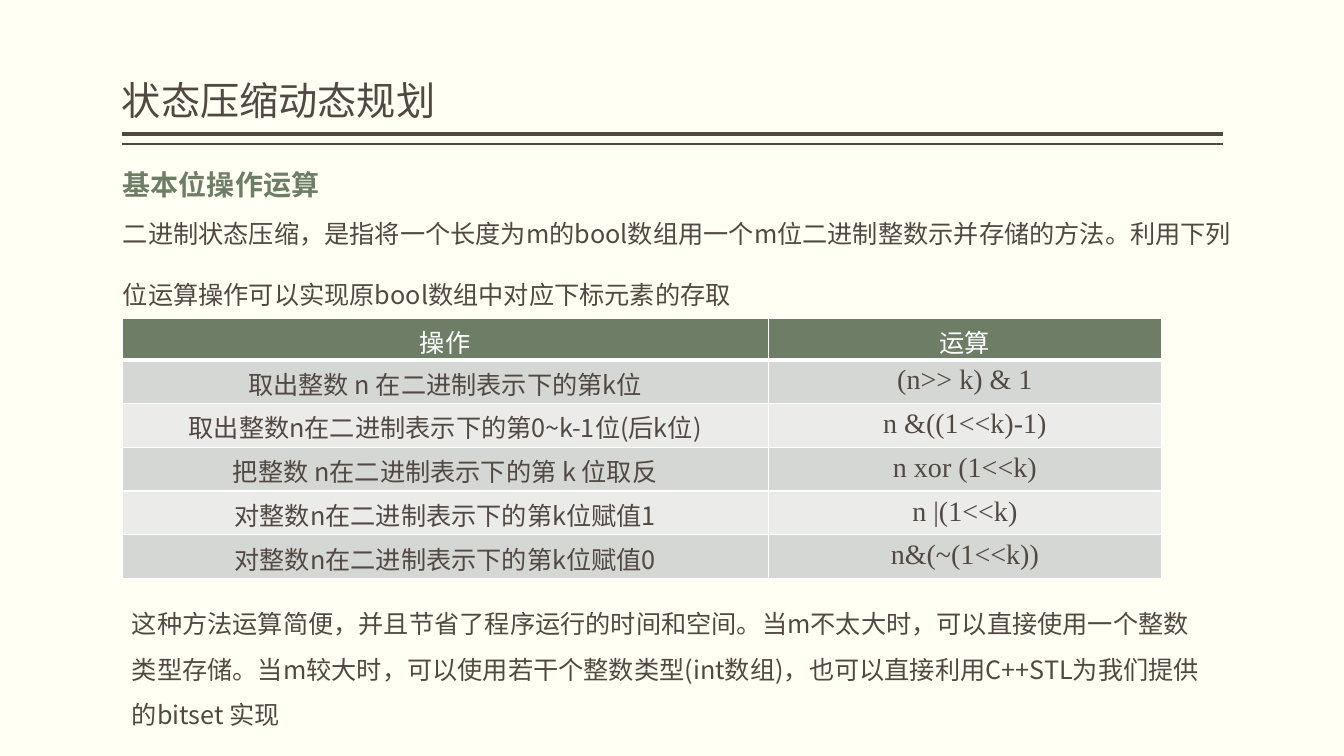
import lxml.etree
import pptx
import pptx.dml.color
import pptx.enum.shapes
import pptx.enum.text
import pptx.oxml.ns
import pptx.util

Inches = pptx.util.Inches
Pt = pptx.util.Pt
qn = pptx.oxml.ns.qn
RGBColor = pptx.dml.color.RGBColor
CJK = "Noto Sans CJK SC"
COLORS = {
    "background": "FFFFF3",
    "ink": "514843",
    "green": "6D7D66",
    "white": "FFFFFF",
    "odd": "D4D7D3",
    "even": "EBECEA",
}


def write_text(text_frame, text, size, color="ink", name=CJK, bold=False, **paragraph_format):
    """Fill the first paragraph, with the font applied to Latin and East Asian text."""
    paragraph = text_frame.paragraphs[0]
    for attribute, value in paragraph_format.items():
        setattr(paragraph, attribute, value)
    run = paragraph.add_run()
    run.text = text
    for attribute, value in {"name": name, "size": Pt(size), "bold": bold}.items():
        setattr(run.font, attribute, value)
    run.font.color.rgb = RGBColor.from_string(COLORS[color])
    east_asian = lxml.etree.SubElement(run.font._element, qn("a:ea"))
    east_asian.set("typeface", CJK)


def add_border(cell, side, width):
    line = lxml.etree.SubElement(cell._tc.get_or_add_tcPr(), qn(f"a:ln{side}"), w=str(Pt(width)))
    fill = lxml.etree.SubElement(line, qn("a:solidFill"))
    lxml.etree.SubElement(fill, qn("a:srgbClr"), val=COLORS["white"])


presentation = pptx.Presentation()
presentation.slide_width = Inches(13.33)
presentation.slide_height = Inches(7.5)
slide = presentation.slides.add_slide(presentation.slide_layouts[6])
slide.background.fill.solid()
slide.background.fill.fore_color.rgb = RGBColor.from_string(COLORS["background"])

# Double rule under the title
for top, width in ((1.33, 3), (1.43, 1)):
    rule = slide.shapes.add_connector(
        pptx.enum.shapes.MSO_CONNECTOR.STRAIGHT,
        Inches(1.21), Inches(top), Inches(12.13), Inches(top))
    rule.line.color.rgb = RGBColor.from_string(COLORS["ink"])
    rule.line.width = Pt(width)
    lxml.etree.SubElement(rule._element.spPr, qn("a:effectLst"))

# Title, heading and body text
title = slide.shapes.add_textbox(Inches(1.21), Inches(0.08), Inches(10.92), Inches(1.2))
title_format = {
    "word_wrap": True,
    "vertical_anchor": pptx.enum.text.MSO_ANCHOR.BOTTOM,
    "margin_left": 0,
    "margin_right": 0,
}
for attribute, value in title_format.items():
    setattr(title.text_frame, attribute, value)
write_text(title.text_frame, "状态压缩动态规划", 28, line_spacing=0.9)

text_boxes = (
    ((1.12, 1.82, 11.21, 1.22),
     "二进制状态压缩，是指将一个长度为m的bool数组用一个m位二进制整数示并存储的方法。"
     "利用下列位运算操作可以实现原bool数组中对应下标元素的存取",
     {"size": 18, "line_spacing": 2.0}),
    ((1.12, 1.28, 2.18, 0.67), "基本位操作运算",
     {"size": 20, "color": "green", "bold": True, "line_spacing": 2.0}),
    ((1.21, 5.84, 10.92, 1.41),
     "这种方法运算简便，并且节省了程序运行的时间和空间。当m不太大时，可以直接使用一个整数类型存储。"
     "当m较大时，可以使用若干个整数类型(int数组)，也可以直接利用C++STL为我们提供的bitset 实现",
     {"size": 18, "line_spacing": 1.5}),
)
for box, text, text_format in text_boxes:
    shape = slide.shapes.add_textbox(*map(Inches, box))
    shape.text_frame.word_wrap = True
    write_text(shape.text_frame, text, **text_format)

# Table of bit operations
operations = (
    ("操作", "运算"),
    ("取出整数 n 在二进制表示下的第k位", "(n>> k) & 1"),
    ("取出整数n在二进制表示下的第0~k-1位(后k位)", "n &((1<<k)-1)"),
    ("把整数 n在二进制表示下的第 k 位取反", "n xor (1<<k)"),
    ("对整数n在二进制表示下的第k位赋值1", "n |(1<<k)"),
    ("对整数n在二进制表示下的第k位赋值0", "n&(~(1<<k))"),
)
table = slide.shapes.add_table(
    len(operations), 2, Inches(1.21), Inches(3.16), Inches(10.31), Inches(2.57)).table
table.horz_banding = False
for column, width in zip(table.columns, (6.41, 3.9)):
    column.width = Inches(width)
for row_index, row_texts in enumerate(operations):
    header = row_index == 0
    table.rows[row_index].height = Inches(0.41 if header else 0.43)
    fill_name = "green" if header else ("even", "odd")[row_index % 2]
    border_widths = {"L": 1, "R": 1, "T": 3 if row_index == 1 else 1, "B": 3 if header else 1}
    for column_index, text in enumerate(row_texts):
        cell = table.cell(row_index, column_index)
        for side, width in border_widths.items():
            add_border(cell, side, width)
        cell.fill.solid()
        cell.fill.fore_color.rgb = RGBColor.from_string(COLORS[fill_name])
        if header:
            cell_format = {"size": 18, "color": "white", "name": "Calibri"}
        elif column_index == 0:
            cell_format = {"size": 18}
        else:
            cell_format = {"size": 20, "name": "Times New Roman"}
        write_text(cell.text_frame, text, alignment=pptx.enum.text.PP_ALIGN.CENTER, **cell_format)

presentation.save("out.pptx")
